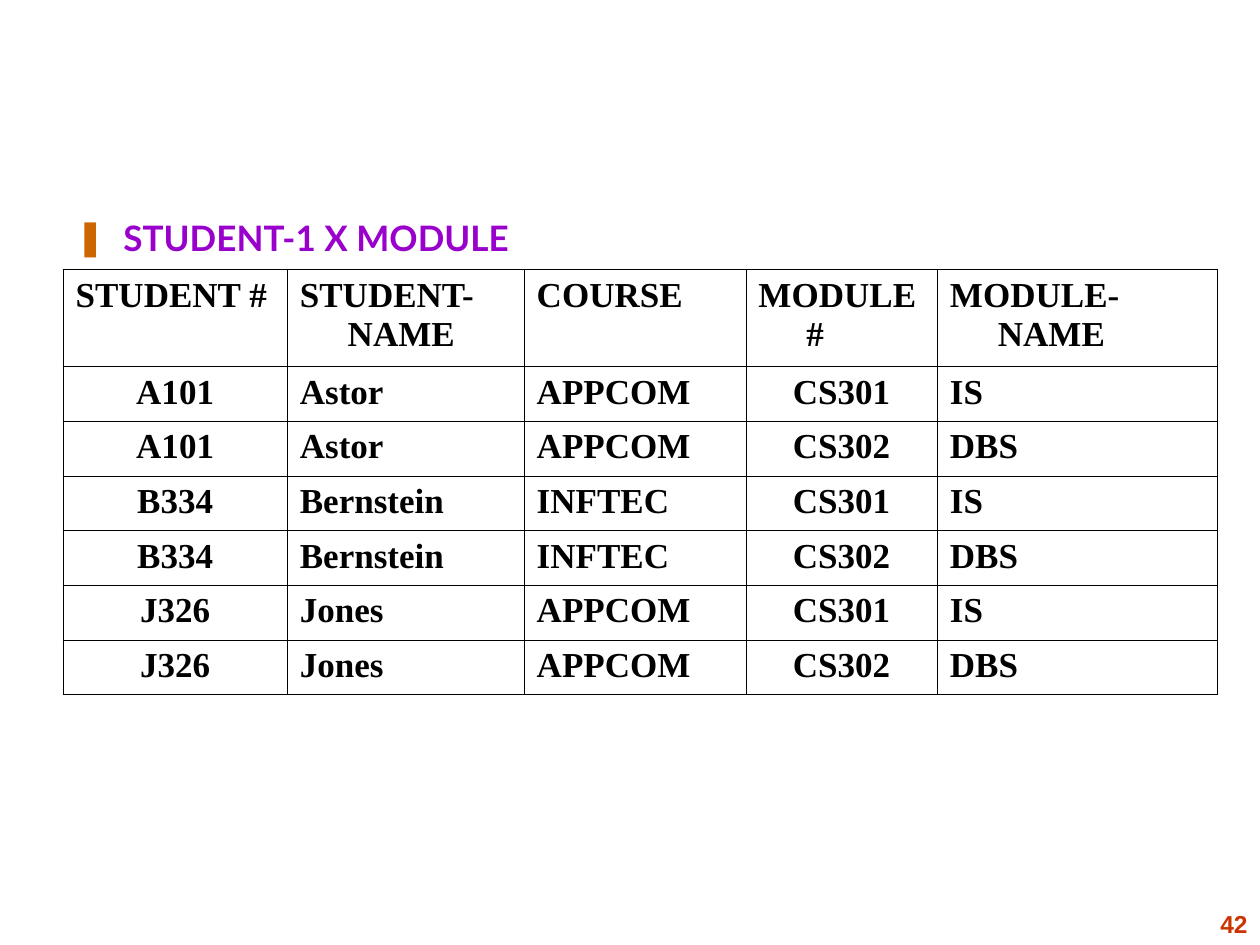
from lxml import etree
from pptx import Presentation
from pptx.dml.color import RGBColor
from pptx.enum.text import MSO_ANCHOR, PP_ALIGN
from pptx.oxml.ns import qn
from pptx.util import Inches, Pt

LEFT, CENTER, RIGHT = PP_ALIGN.LEFT, PP_ALIGN.CENTER, PP_ALIGN.RIGHT
BOTTOM = MSO_ANCHOR.BOTTOM
COLORS = {"heading": "9900CC", "bullet": "CC6600", "number": "CC3300", "ink": "000000"}


def add_run(p, text, size, font, color):
    r = p.add_run()
    r.text = text
    r.font.size = Pt(size)
    r.font.name = font
    r.font.bold = True
    r.font.color.rgb = RGBColor.from_string(COLORS[color])


def set_hanging(p):
    pPr = p._p.get_or_add_pPr()
    pPr.set("marL", str(Inches(0.38)))
    pPr.set("indent", str(Inches(-0.38)))
    return pPr


prs = Presentation()
prs.slide_width, prs.slide_height = Inches(10), Inches(7.5)
s = prs.slides.add_slide(prs.slide_layouts[1])
title = s.shapes.title._element
title.getparent().remove(title)

number = s.shapes.add_textbox(Inches(7.36), Inches(7.17), Inches(2.64), Inches(0.33))
tf = number.text_frame
tf.word_wrap = True
tf.vertical_anchor = BOTTOM
p = tf.paragraphs[0]
p.alignment = RIGHT
add_run(p, "42", 14, "Arial", "number")

body = s.placeholders[1]
body.left, body.top = Inches(0.5), Inches(1.67)
body.width, body.height = Inches(8.94), Inches(2.4)
p = body.text_frame.paragraphs[0]
p.space_before = Pt(5)
pPr = set_hanging(p)
bullet_color = etree.SubElement(pPr, qn("a:buClr"))
etree.SubElement(bullet_color, qn("a:srgbClr"), val=COLORS["bullet"])
etree.SubElement(pPr, qn("a:buChar"), char="❚")
add_run(p, "STUDENT-1 X MODULE", 20, "Lato", "heading")

students = [
    ("A101", "Astor", "APPCOM"),
    ("B334", "Bernstein", "INFTEC"),
    ("J326", "Jones", "APPCOM"),
]
modules = [("CS301", "IS"), ("CS302", "DBS")]
rows = [("STUDENT #", "STUDENT-NAME", "COURSE", "MODULE #", "MODULE-NAME")]
rows += [student + module for student in students for module in modules]
col_widths = [1.78, 1.88, 1.76, 1.52, 2.22]
row_heights = [0.77] + [0.43] * 6
centered_cols = (0, 3)

frame = s.shapes.add_table(len(rows), len(col_widths), Inches(0.5), Inches(2.14),
                           Inches(sum(col_widths)), Inches(sum(row_heights)))
table = frame.table
table.first_row = False
table.horz_banding = False
for col, width in zip(table.columns, col_widths):
    col.width = Inches(width)
for row, height in zip(table.rows, row_heights):
    row.height = Inches(height)

for i, values in enumerate(rows):
    for j, value in enumerate(values):
        cell = table.cell(i, j)
        p = cell.text_frame.paragraphs[0]
        p.alignment = CENTER if i and j in centered_cols else LEFT
        set_hanging(p)
        add_run(p, value, 20, "Times New Roman", "ink")
        tcPr = cell._tc.get_or_add_tcPr()
        for side in ("a:lnL", "a:lnR", "a:lnT", "a:lnB"):
            ln = etree.SubElement(tcPr, qn(side), w=str(Pt(0.45)))
            fill = etree.SubElement(ln, qn("a:solidFill"))
            etree.SubElement(fill, qn("a:srgbClr"), val=COLORS["ink"])
        cell.fill.background()

prs.save("out.pptx")
